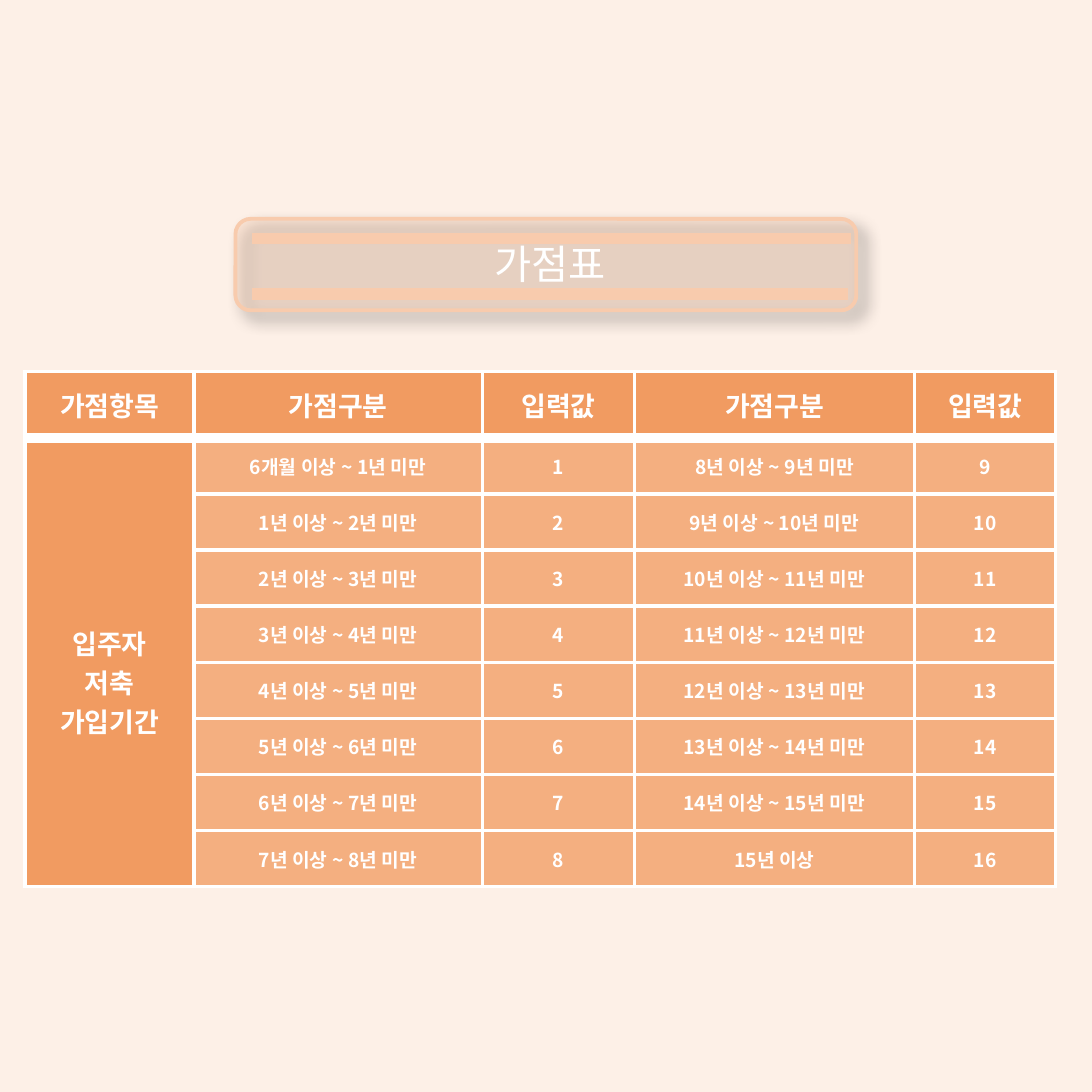
"""Build the savings-period score table slide."""
from lxml import etree
from pptx import Presentation
from pptx.dml.color import RGBColor
from pptx.enum.shapes import MSO_CONNECTOR as Connector, MSO_SHAPE as Shape
from pptx.enum.text import MSO_ANCHOR as Anchor, PP_ALIGN as Align
from pptx.oxml import parse_xml
from pptx.oxml.ns import nsdecls, qn
from pptx.util import Inches, Pt

TITLE = "가점표"
HEADERS = ["가점항목", "가점구분", "입력값", "가점구분", "입력값"]
CATEGORY = ["입주자", "저축", "가입기간"]
PERIODS = ["6개월 이상 ~ 1년 미만"]
PERIODS += [f"{year}년 이상 ~ {year + 1}년 미만" for year in range(1, 15)]
PERIODS += ["15년 이상"]
FONT = "Noto Sans CJK KR"
COLORS = {
    "background": "FDF0E7",
    "banner": "F8CBAD",
    "header": "F19B61",
    "body": "F4AF80",
    "white": "FFFFFF",
    "shadow": "000000",
}
SIDE = 3.94
BANNER_BOX = (0.85, 0.79, 2.24, 0.33)
TITLE_BOX = (0.91, 0.75, 2.15, 0.33)
STRIPES = [(0.91, 3.07, 0.86), (0.91, 3.06, 1.06)]
TABLE_BOX = (0.09, 1.34, 3.72, 1.86)
COLUMN_WIDTHS = [0.61, 1.04, 0.55, 1.01, 0.51]
HEADER_HEIGHT = 0.24
BODY_ROWS = len(PERIODS) // 2
BODY_HEIGHT = (TABLE_BOX[3] - HEADER_HEIGHT) / BODY_ROWS
CELL_FRAME = {"margin_left": 0, "margin_right": 0, "margin_top": 0,
              "margin_bottom": 0, "vertical_anchor": Anchor.MIDDLE}
TITLE_FRAME = {"margin_left": 0, "margin_right": 0, "margin_top": 0,
               "margin_bottom": Inches(0.04), "vertical_anchor": Anchor.BOTTOM,
               "word_wrap": True}


def color(name):
    return RGBColor.from_string(COLORS[name])


def inches(box):
    return [Inches(value) for value in box]


def apply(target, values):
    for name, value in values.items():
        setattr(target, name, value)


def write(text_frame, lines, size, bold=False, spacing=1.0):
    for index, line in enumerate(lines):
        paragraph = text_frame.add_paragraph() if index else text_frame.paragraphs[0]
        apply(paragraph, {"alignment": Align.CENTER, "line_spacing": spacing})
        run = paragraph.add_run()
        run.text = line
        apply(run.font, {"name": FONT, "size": Pt(size), "bold": bold})
        run.font.color.rgb = color("white")
        east_asian = etree.SubElement(run.font._element, qn("a:ea"))
        east_asian.set("typeface", FONT)


def add_banner(slide):
    banner = slide.shapes.add_shape(Shape.ROUNDED_RECTANGLE, *inches(BANNER_BOX))
    banner.fill.solid()
    banner.fill.fore_color.rgb = color("banner")
    fill_color = banner._element.spPr.find(".//" + qn("a:srgbClr"))
    etree.SubElement(fill_color, qn("a:alpha")).set("val", "30000")
    banner.line.color.rgb = color("banner")
    banner.line.width = Pt(1)
    banner._element.spPr.append(parse_xml(
        f'<a:effectLst {nsdecls("a")}><a:outerShdw blurRad="{Pt(4)}" dist="{Pt(3)}" '
        f'dir="2700000" algn="tl" rotWithShape="0"><a:srgbClr val="{COLORS["shadow"]}">'
        '<a:alpha val="40000"/></a:srgbClr></a:outerShdw></a:effectLst>'))

    title = slide.shapes.add_textbox(*inches(TITLE_BOX)).text_frame
    apply(title, TITLE_FRAME)
    write(title, [TITLE], 10.5, spacing=0.9)

    for left, right, top in STRIPES:
        stripe = slide.shapes.add_connector(
            Connector.STRAIGHT, *inches((left, top, right, top)))
        stripe.line.color.rgb = color("banner")
        stripe.line.width = Pt(3)
        etree.SubElement(stripe._element.spPr, qn("a:effectLst"))


def set_borders(cell, row):
    widths = {"L": 1, "R": 1, "T": 3 if row == 1 else 1, "B": 3 if row == 0 else 1}
    properties = cell._tc.get_or_add_tcPr()
    for index, (side, width) in enumerate(widths.items()):
        properties.insert(index, parse_xml(
            f'<a:ln{side} {nsdecls("a")} w="{Pt(width)}"><a:solidFill>'
            f'<a:srgbClr val="{COLORS["white"]}"/></a:solidFill></a:ln{side}>'))


def add_score_table(slide):
    table = slide.shapes.add_table(
        BODY_ROWS + 1, len(HEADERS), *inches(TABLE_BOX)).table
    for column, width in zip(table.columns, COLUMN_WIDTHS):
        column.width = Inches(width)
    for index, row in enumerate(table.rows):
        row.height = Inches(BODY_HEIGHT if index else HEADER_HEIGHT)

    category = table.cell(1, 0)
    category.merge(table.cell(BODY_ROWS, 0))
    body = [["", PERIODS[i], str(i + 1), PERIODS[i + BODY_ROWS], str(i + 1 + BODY_ROWS)]
            for i in range(BODY_ROWS)]
    for row, texts in enumerate([HEADERS] + body):
        for column, text in enumerate(texts):
            cell = table.cell(row, column)
            is_header = row == 0 or column == 0
            apply(cell, CELL_FRAME)
            cell.fill.solid()
            cell.fill.fore_color.rgb = color("header" if is_header else "body")
            set_borders(cell, row)
            if text:
                write(cell.text_frame, [text], 7 if is_header else 5, bold=True)
    category.margin_top = Inches(0.14)
    write(category.text_frame, CATEGORY, 7, bold=True)


def main():
    presentation = Presentation()
    apply(presentation, {"slide_width": Inches(SIDE), "slide_height": Inches(SIDE)})
    slide = presentation.slides.add_slide(presentation.slide_layouts[6])
    slide.background.fill.solid()
    slide.background.fill.fore_color.rgb = color("background")
    add_banner(slide)
    add_score_table(slide)
    presentation.save("out.pptx")


if __name__ == "__main__":
    main()
